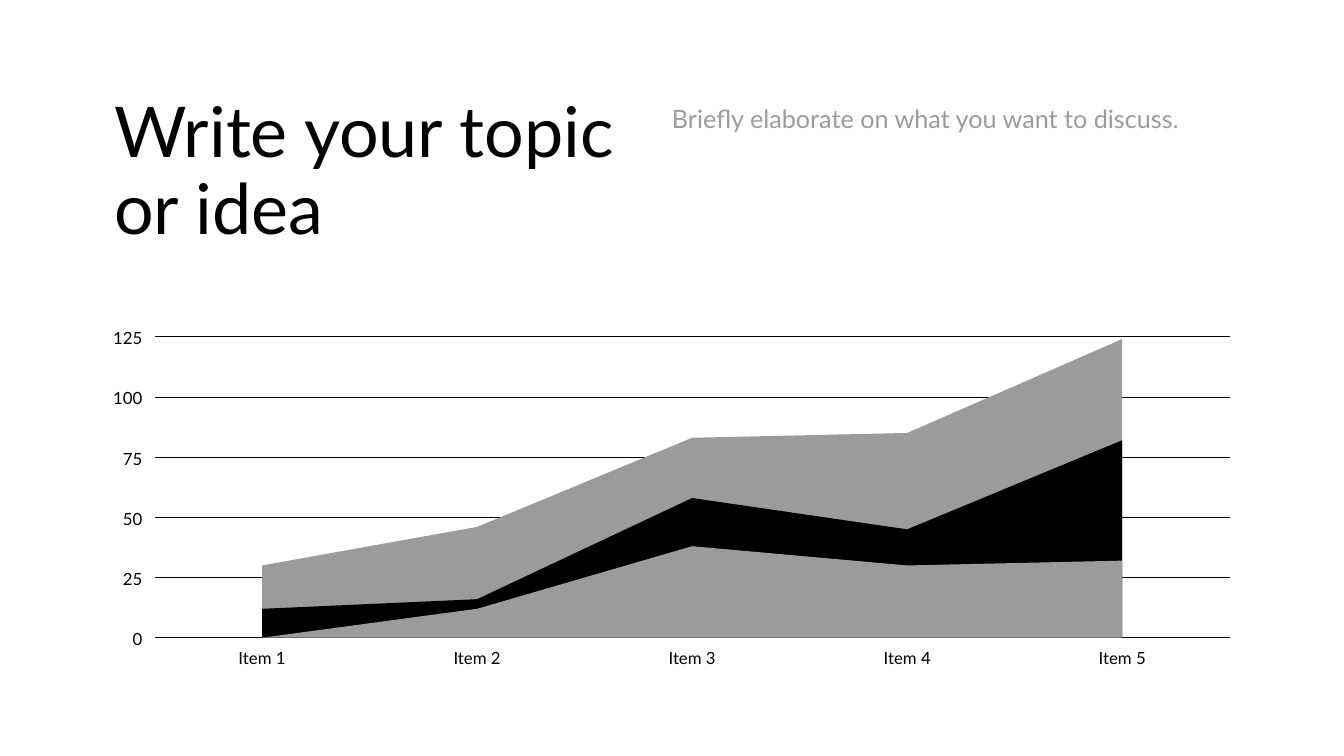
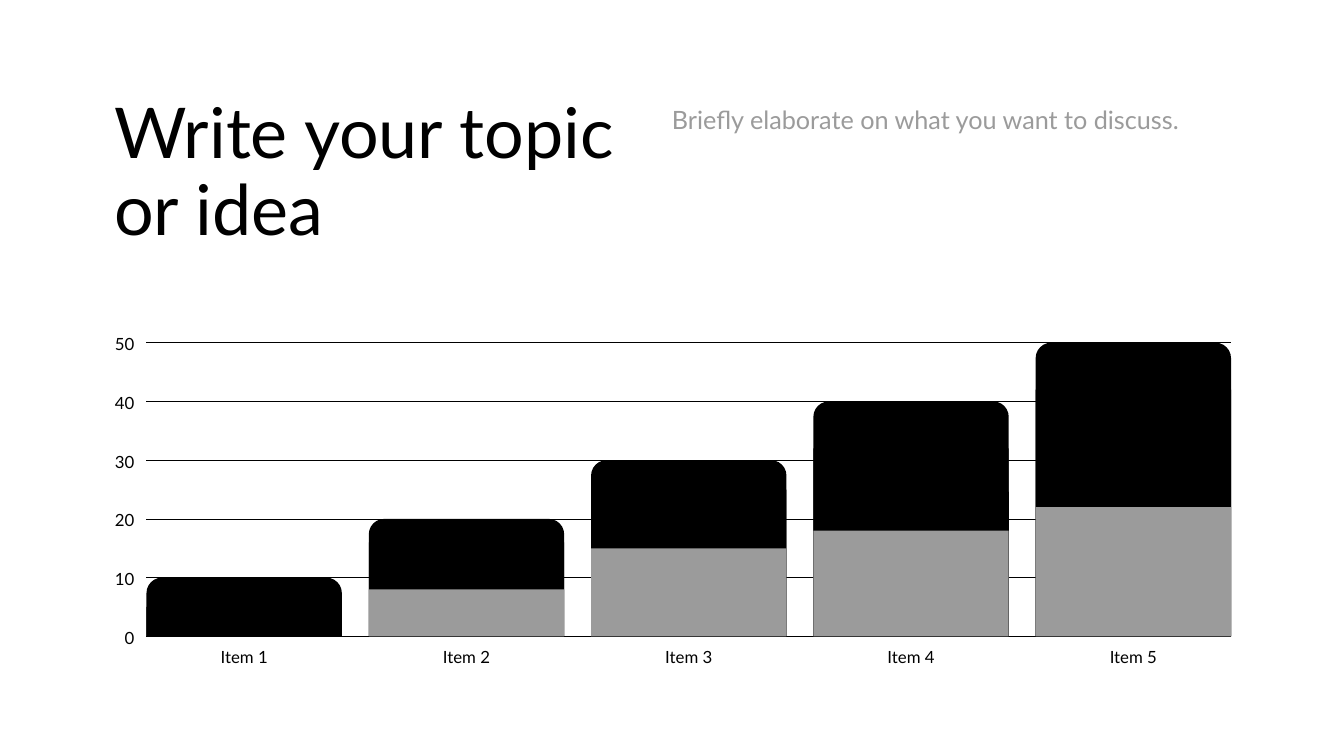
import lxml.etree
import pptx
import pptx.dml.color
import pptx.enum.shapes
import pptx.enum.text
import pptx.oxml.ns
import pptx.util
from collections import namedtuple

BLACK = pptx.dml.color.RGBColor(0x00, 0x00, 0x00)
GRAY = pptx.dml.color.RGBColor(0x9B, 0x9B, 0x9B)
FONT = "Lato"
LEFT = pptx.enum.text.PP_ALIGN.LEFT
CENTER = pptx.enum.text.PP_ALIGN.CENTER
RIGHT = pptx.enum.text.PP_ALIGN.RIGHT
SHAPES = pptx.enum.shapes.MSO_SHAPE

SLIDE_WIDTH = pptx.util.Inches(20)
SLIDE_HEIGHT = pptx.util.Inches(11.25)
COLUMN = SLIDE_WIDTH / 20
ROW = SLIDE_HEIGHT / 11.25

ITEMS = ["Item 1", "Item 2", "Item 3", "Item 4", "Item 5"]
LABEL_HEIGHT = 0.33
BAR_GAP = 0.4
BAR_RADIUS = 0.23

Box = namedtuple("Box", "left top width height")
Series = namedtuple("Series", "color values")

AREA_SERIES = [
    Series(GRAY, [30, 46, 83, 85, 124]),
    Series(BLACK, [12, 16, 58, 45, 82]),
    Series(GRAY, [0, 12, 38, 30, 32]),
]
BAR_SERIES = [
    Series(BLACK, [10, 20, 30, 40, 50]),
    Series(BLACK, [5, 16, 25, 32, 42]),
    Series(GRAY, [0, 8, 15, 18, 22]),
]


def to_emu(box):
    return (round(box.left * COLUMN), round(box.top * ROW),
            round(box.width * COLUMN), round(box.height * ROW))


def value_top(plot, value, maximum):
    return plot.top + plot.height * (1 - value / maximum)


def add_text(slide, box, text, size, spacing, color=BLACK, alignment=LEFT, wrap=True):
    frame = slide.shapes.add_textbox(*to_emu(box)).text_frame
    frame.margin_left = frame.margin_right = frame.margin_top = frame.margin_bottom = 0
    frame.word_wrap = wrap
    paragraph = frame.paragraphs[0]
    paragraph.alignment = alignment
    paragraph.line_spacing = pptx.util.Pt(spacing)
    run = paragraph.add_run()
    run.text = text
    run.font.name = FONT
    run.font.size = pptx.util.Pt(size)
    run.font.color.rgb = color


def paint(shape, color):
    shape.fill.solid()
    shape.fill.fore_color.rgb = color
    shape.line.fill.background()
    shape.shadow.inherit = False


def add_gridline(slide, plot, top):
    left, y, width, _ = to_emu(Box(plot.left, top, plot.width, 0))
    line = slide.shapes.add_connector(
        pptx.enum.shapes.MSO_CONNECTOR.STRAIGHT, left, y, left + width, y)
    line.line.color.rgb = BLACK
    line.line.width = pptx.util.Pt(0.75)
    lxml.etree.SubElement(line._element.spPr, pptx.oxml.ns.qn("a:effectLst"))


def add_heading(slide, box):
    title = Box(box.left, box.top, 7.52, box.height)
    summary = Box(box.left + 8.3, box.top + 0.06, box.width - 8.3, 0.51)
    add_text(slide, title, "Write your topic or idea", 75, 82.5)
    add_text(slide, summary, "Briefly elaborate on what you want to discuss.", 27, 37.8, GRAY)


def add_axes(slide, plot, maximum, step, label_width, pitch):
    for index, item in enumerate(ITEMS):
        box = Box(plot.left + index * pitch, plot.top + plot.height + 0.1,
                  label_width, LABEL_HEIGHT)
        add_text(slide, box, item, 18, 25.2, alignment=CENTER)
    for value in range(maximum, -1, -step):
        top = value_top(plot, value, maximum)
        add_gridline(slide, plot, top)
        width = 0.16 * len(str(value))
        box = Box(plot.left - 0.18 - width, top - 0.18, width, LABEL_HEIGHT)
        add_text(slide, box, str(value), 18, 25.2, alignment=RIGHT, wrap=False)


def add_area_plot(slide, plot, maximum, step):
    pitch = plot.width / len(ITEMS)
    add_axes(slide, plot, maximum, step, pitch, pitch)
    centers = [plot.left + pitch * (index + 0.5) for index in range(len(ITEMS))]
    bottom = plot.top + plot.height
    for series in AREA_SERIES:
        tops = [value_top(plot, value, maximum) for value in series.values]
        outline = [(centers[0], bottom), *zip(centers, tops), (centers[-1], bottom)]
        points = [(round(x * COLUMN), round(y * ROW)) for x, y in outline]
        builder = slide.shapes.build_freeform(*points[0])
        builder.add_line_segments(points[1:], close=True)
        paint(builder.convert_to_shape(), series.color)


def add_bar_plot(slide, plot, maximum, step):
    bar_width = (plot.width - BAR_GAP * (len(ITEMS) - 1)) / len(ITEMS)
    pitch = bar_width + BAR_GAP
    add_axes(slide, plot, maximum, step, bar_width, pitch)
    for layer, series in enumerate(BAR_SERIES):
        for index, value in enumerate(series.values):
            if value == 0:
                continue
            height = plot.height * value / maximum
            box = Box(plot.left + index * pitch, value_top(plot, value, maximum),
                      bar_width, height)
            kind = SHAPES.RECTANGLE if layer else SHAPES.ROUND_2_SAME_RECTANGLE
            bar = slide.shapes.add_shape(kind, *to_emu(box))
            if layer == 0:
                bar.adjustments[0] = BAR_RADIUS / min(bar_width, height)
                bar.adjustments[1] = 0
            paint(bar, series.color)


def add_chart_slide(presentation, add_plot, plot, maximum, step, heading):
    slide = presentation.slides.add_slide(presentation.slide_layouts[6])
    add_plot(slide, plot, maximum, step)
    add_heading(slide, heading)


def main():
    presentation = pptx.Presentation()
    presentation.slide_width = SLIDE_WIDTH
    presentation.slide_height = SLIDE_HEIGHT
    add_chart_slide(presentation, add_area_plot, Box(2.3, 5.01, 16, 4.48), 125, 25,
                    Box(1.7, 1.4, 16.6, 2.33))
    add_chart_slide(presentation, add_bar_plot, Box(2.18, 5.1, 16.14, 4.37), 50, 10,
                    Box(1.7, 1.42, 16.6, 2.33))
    presentation.save("out.pptx")


if __name__ == "__main__":
    main()
